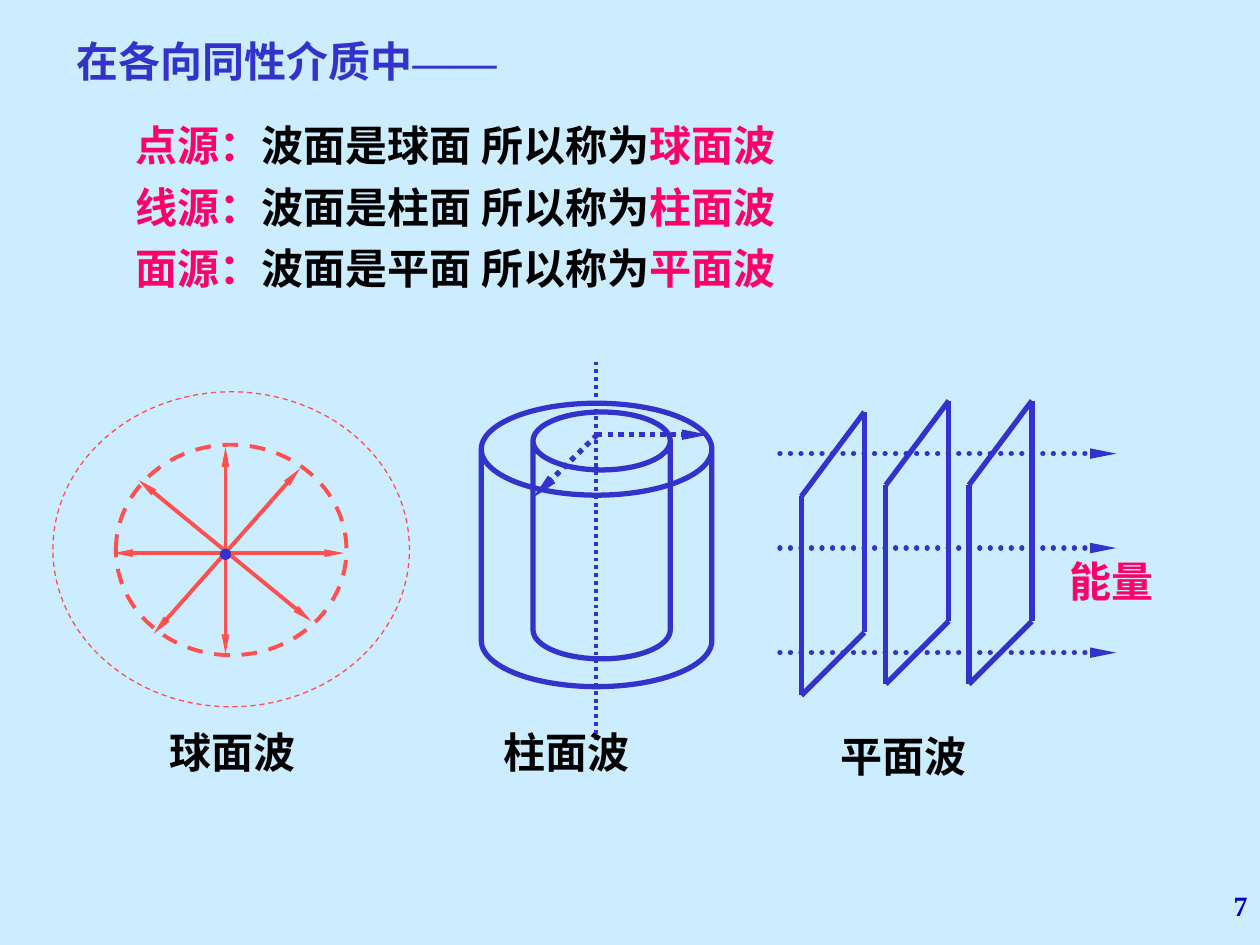
from lxml import etree
from pptx import Presentation
from pptx.dml.color import RGBColor
from pptx.enum import dml, shapes, text
from pptx.oxml.ns import qn
from pptx.util import Inches, Pt

BLUE, RED, PINK, BLACK = "3333CC", "FF5050", "FF0066", "000000"
SANS, SERIF = "Noto Sans CJK SC", "Times New Roman"
DOT, DASH = dml.MSO_LINE.ROUND_DOT, dml.MSO_LINE.DASH
OVAL, CAN = shapes.MSO_SHAPE.OVAL, shapes.MSO_SHAPE.CAN

# Content: wording
TITLE = [("在各向同性介质中", BLUE, SANS, SANS), ("——", BLUE, SERIF, SERIF)]
SOURCES = [("点源：", "波面是球面 所以称为", "球面波"),
           ("线源：", "波面是柱面 所以称为", "柱面波"),
           ("面源：", "波面是平面 所以称为", "平面波")]
CAPTIONS = [("球面波", (1.25, 5.77, 1.67, 0.5)),
            ("柱面波", (3.9, 5.77, 1.75, 0.5)),
            ("平面波", (6.57, 5.8, 2, 0.5))]

# Content: geometry in inches
AXIS = ((4.73, 2.87), (4.73, 5.87))
CYLINDERS = [((4.23, 3.27, 1.09, 1.96), 0.422), ((3.82, 3.2, 1.83, 2.25), 0.399)]
RADIUS_START, RADIUS_ENDS = (4.74, 3.45), [(5.62, 3.45), (4.23, 3.95)]
PLANE_ORIGINS = [(7.03, 3.18), (7.69, 3.18), (6.36, 3.27)]
PLANE_CORNERS = [(0.5, 0), (0, 0.67), (0, 2.25), (0.5, 1.75)]
ENERGY_LEVELS = [5.18, 3.6, 4.35]
SPHERE_RAYS = [((0.9, 4.39), (2.73, 4.39)), ((1.79, 3.55), (1.79, 5.19)),
               ((2.38, 3.72), (1.22, 5.03)), ((1.1, 3.81), (2.47, 4.93))]

prs = Presentation()
prs.slide_width, prs.slide_height = Inches(10), Inches(7.5)
slide = prs.slides.add_slide(prs.slide_layouts[6])
canvas = slide.shapes


def rgb(value):
    return RGBColor.from_string(value)


slide.background.fill.solid()
slide.background.fill.fore_color.rgb = rgb("CCECFF")


def style_line(line, color, width, dash=None):
    line.color.rgb, line.width = rgb(color), Pt(width)
    if dash is not None:
        line.dash_style = dash


def add_line(parent, start, end, color, width, dash=None, arrows=(), cap=None):
    """Straight line; arrows lists headEnd and/or tailEnd."""
    points = [Inches(v) for v in (*start, *end)]
    line = parent.add_connector(shapes.MSO_CONNECTOR.STRAIGHT, *points)
    style_line(line.line, color, width, dash)
    ln = line.line._get_or_add_ln()
    if cap:
        ln.set("cap", cap)
    for arrow in arrows:
        etree.SubElement(ln, qn("a:" + arrow), type="triangle", w="sm", len="lg")
    etree.SubElement(line._element.spPr, qn("a:effectLst"))


def add_outline(parent, kind, box, color, width, dash=None, fill=None):
    shape = parent.add_shape(kind, *map(Inches, box))
    shape.shadow.inherit = False
    if fill:
        shape.fill.solid()
        shape.fill.fore_color.rgb = rgb(fill)
    else:
        shape.fill.background()
    style_line(shape.line, color, width, dash)
    return shape


def add_text(box, paragraphs, size=24, align=text.PP_ALIGN.LEFT, top=0):
    """Each run is (wording, colour, Latin font, East Asian font)."""
    frame = canvas.add_textbox(*map(Inches, box)).text_frame
    frame.word_wrap = True
    frame.margin_top = Inches(top)
    for i, runs in enumerate(paragraphs):
        par = frame.add_paragraph() if i else frame.paragraphs[0]
        par.alignment = align
        par.space_before = Pt(6.4 if i else 0)
        for wording, color, latin, east_asian in runs:
            run = par.add_run()
            run.text = wording
            run.font.size, run.font.bold = Pt(size), True
            run.font.color.rgb = rgb(color)
            run.font.name = latin
            etree.SubElement(run.font._element, qn("a:ea"), typeface=east_asian)


# Page number and title
add_text((7.92, 7, 2.08, 0.5), [[("7", "0000CC", SERIF, SERIF)]], 16,
         text.PP_ALIGN.RIGHT, 0.05)
add_text((0.51, 0.28, 7.3, 0.5), [TITLE])

# Cylindrical wave: axis and two wave surfaces
add_line(canvas, *AXIS, BLUE, 2.25, DOT)
cylinders = canvas.add_group_shape().shapes
for box, rim in CYLINDERS:
    add_outline(cylinders, CAN, box, BLUE, 3).adjustments[0] = rim

# Plane wave: three parallel surfaces
for x, y in PLANE_ORIGINS:
    plane = canvas.add_group_shape().shapes
    corners = [(x + dx, y + dy) for dx, dy in PLANE_CORNERS]
    for start, end in zip(corners, corners[1:] + corners[:1]):
        add_line(plane, start, end, BLUE, 3)

# Directions of travel
for end in RADIUS_ENDS:
    add_line(canvas, RADIUS_START, end, BLUE, 3, DOT, ["tailEnd"])
for y in ENERGY_LEVELS:
    add_line(canvas, (6.19, y), (8.86, y), BLUE, 3, DOT, ["tailEnd"], "rnd")

# Spherical wave: inner surface, rays, outer surface
add_outline(canvas, OVAL, (0.92, 3.53, 1.83, 1.67), RED, 2.25, DASH)
rays = canvas.add_group_shape().shapes
for start, end in SPHERE_RAYS:
    add_line(rays, start, end, RED, 2.25, arrows=["headEnd", "tailEnd"])
add_outline(canvas, OVAL, (0.42, 3.11, 2.83, 2.5), RED, 0.75, DASH)

# Captions, source list and energy label
for wording, box in CAPTIONS:
    add_text(box, [[(wording, BLACK, SERIF, SANS)]])
add_text((0.98, 0.95, 7.3, 1.7),
         [[(wording, color, SANS, SANS)
           for wording, color in zip(source, (PINK, BLACK, PINK))]
          for source in SOURCES])
add_text((8.39, 4.41, 0.99, 0.5), [[("能量", PINK, SANS, SANS)]])

# Point source
add_outline(canvas, OVAL, (1.75, 4.36, 0.08, 0.08), BLUE, 0.75, fill=BLUE)

prs.save("out.pptx")
